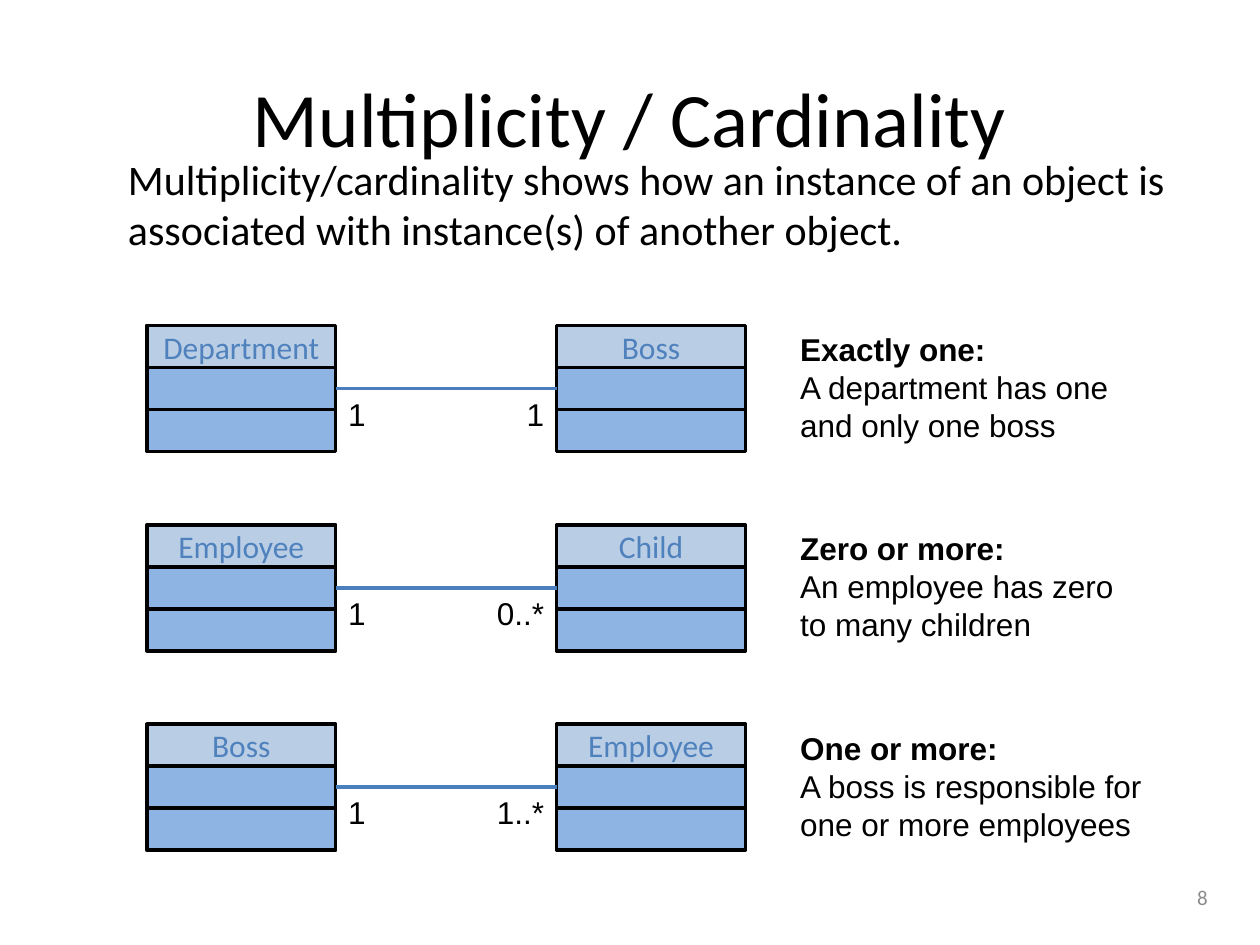
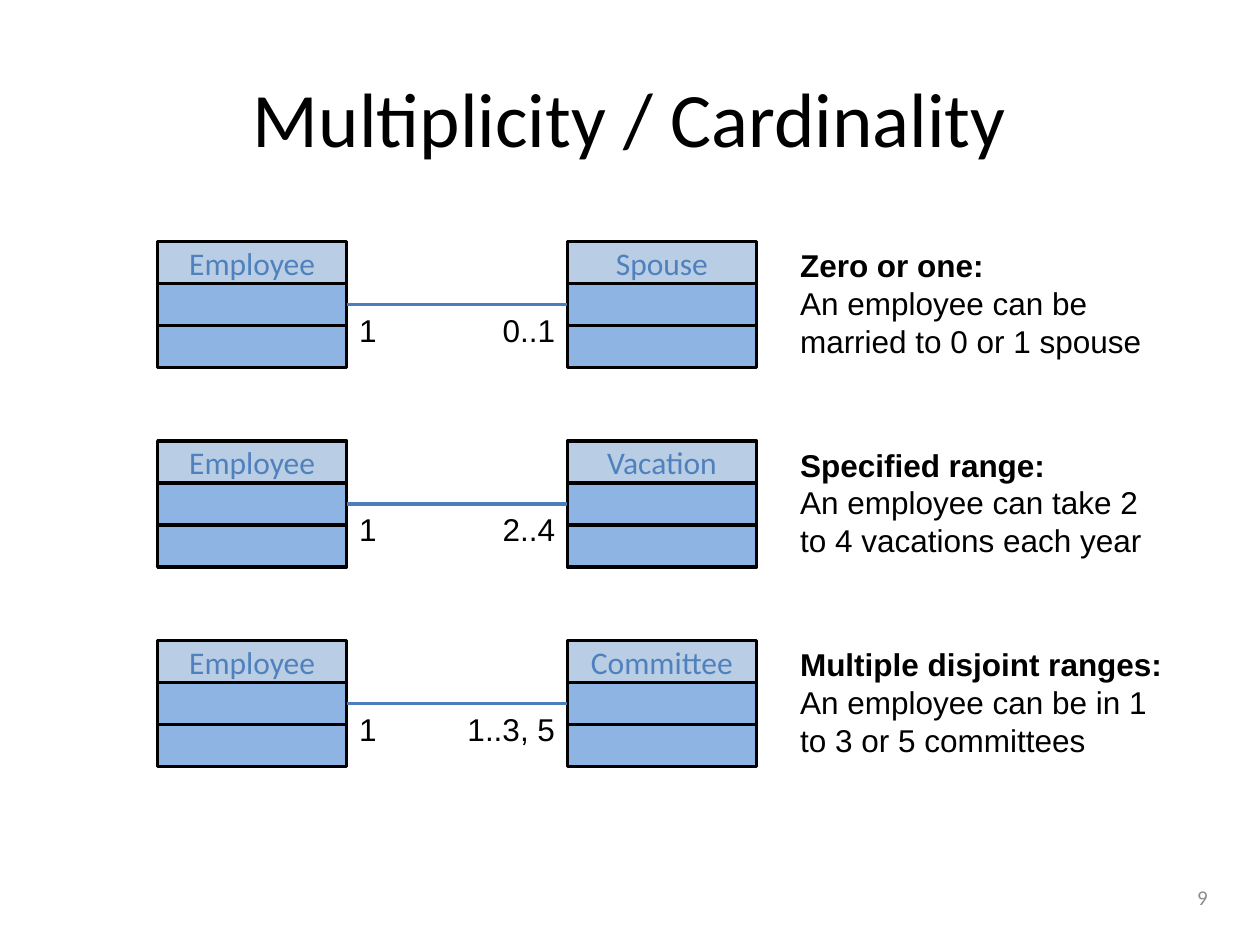
from dataclasses import dataclass

from lxml import etree
from pptx import Presentation
from pptx.dml.color import RGBColor
from pptx.enum.shapes import MSO_CONNECTOR, MSO_SHAPE
from pptx.enum.text import MSO_ANCHOR, MSO_AUTO_SIZE, PP_ALIGN
from pptx.oxml.ns import qn
from pptx.util import Cm, Pt

RECT = MSO_SHAPE.RECTANGLE
STRAIGHT = MSO_CONNECTOR.STRAIGHT
LEFT, CENTER, RIGHT = PP_ALIGN.LEFT, PP_ALIGN.CENTER, PP_ALIGN.RIGHT
TOP, MIDDLE = MSO_ANCHOR.TOP, MSO_ANCHOR.MIDDLE
NO_FIT, GROW = MSO_AUTO_SIZE.NONE, MSO_AUTO_SIZE.SHAPE_TO_FIT_TEXT
SIDE_LEFT, SIDE_RIGHT = 1, 3


@dataclass(frozen=True)
class Theme:
    """Fonts, type sizes, colours and line width shared by the slides."""
    heading_font: str = "Calibri"
    body_font: str = "Arial"
    title: int = 44
    intro: int = 24
    body: int = 18
    number: int = 12
    line: int = 2
    ink: str = "000000"
    muted: str = "8C8C8C"
    class_name: str = "4F81BD"
    header_fill: str = "B9CDE5"
    row_fill: str = "8EB4E3"
    link: str = "4B7EBC"


@dataclass(frozen=True)
class Box:
    """A rectangle measured in centimetres."""
    x: float
    y: float
    w: float
    h: float

    def emu(self):
        """Return left, top, width and height as lengths."""
        return Cm(self.x), Cm(self.y), Cm(self.w), Cm(self.h)


@dataclass(frozen=True)
class Association:
    """Two classes, the multiplicity at each end and its explanation."""
    source: str
    target: str
    target_mult: str
    rule: str
    example: str
    source_mult: str = "1"
    note_w: float = 7.41


THEME = Theme()
CLASS_W, CLASS_H = 3.81, 2.54
CLASS_STEP, ROW_STEP = 8.26, 4.02
NOTE_X, NOTE_H = 15.88, 2.57
LABEL_H, LABEL_PADDING = 1.02, 0.51
DIGIT_W, GLYPH_W = 0.35, {".": 0.18, ",": 0.18, " ": 0.18, "*": 0.25}
TITLE_BOX = Box(1.27, 0.76, 22.86, 3.18)
INTRO_BOX = Box(2.33, 2.97, 21.8, 2.31)
NUMBER_BOX = Box(23.5, 17.58, 1.48, 1.02)

SLIDES = [
    dict(
        number=8, left=2.96, top=6.56,
        intro="Multiplicity/cardinality shows how an instance of an object is "
              "associated with instance(s) of another object.",
        associations=[
            Association("Department", "Boss", "1", "Exactly one:",
                        "A department has one and only one boss"),
            Association("Employee", "Child", "0..*", "Zero or more:",
                        "An employee has zero to many children"),
            Association("Boss", "Employee", "1..*", "One or more:",
                        "A boss is responsible for one or more employees"),
        ],
    ),
    dict(
        number=9, left=3.18, top=4.87,
        associations=[
            Association("Employee", "Spouse", "0..1", "Zero or one:",
                        "An employee can be married to 0 or 1 spouse"),
            Association("Employee", "Vacation", "2..4", "Specified range:",
                        "An employee can take 2 to 4 vacations each year"),
            Association("Employee", "Committee", "1..3, 5",
                        "Multiple disjoint ranges:",
                        "An employee can be in 1 to 3 or 5 committees",
                        note_w=7.82),
        ],
    ),
]


def rgb(color):
    """Turn a hex string into a colour."""
    return RGBColor.from_string(color)


def add_run(p, text, size, font, color=THEME.ink, bold=False):
    """Append one formatted run to a paragraph."""
    r = p.add_run()
    r.text = text
    r.font.size, r.font.name, r.font.bold = Pt(size), font, bold
    r.font.color.rgb = rgb(color)


def add_text(s, box, lines, size, font, color=THEME.ink, align=LEFT,
             anchor=TOP, fit=GROW, wrap=True):
    """Add a text box with one paragraph for each (text, bold) line."""
    tf = s.shapes.add_textbox(*box.emu()).text_frame
    tf.word_wrap, tf.auto_size, tf.vertical_anchor = wrap, fit, anchor
    for i, (text, bold) in enumerate(lines):
        p = tf.add_paragraph() if i else tf.paragraphs[0]
        p.alignment = align
        add_run(p, text, size, font, color, bold)


def add_class(s, box, name):
    """Draw a three-part class box and return its middle part."""
    group = s.shapes.add_group_shape()
    row_h = box.h / 3
    fills = (THEME.header_fill, THEME.row_fill, THEME.row_fill)
    parts = []
    for i, fill in enumerate(fills):
        row = Box(box.x, box.y + i * row_h, box.w, row_h)
        sp = group.shapes.add_shape(RECT, *row.emu())
        sp.shadow.inherit = False
        sp.fill.solid()
        sp.fill.fore_color.rgb = rgb(fill)
        sp.line.color.rgb = rgb(THEME.ink)
        sp.line.width = Pt(THEME.line)
        parts.append(sp)
    header, middle, _ = parts
    header.text_frame.vertical_anchor = MIDDLE
    p = header.text_frame.paragraphs[0]
    p.alignment = CENTER
    add_run(p, name, THEME.body, THEME.heading_font, THEME.class_name)
    return middle


def add_link(s, source, target):
    """Join the facing sides of two class boxes."""
    line = s.shapes.add_connector(STRAIGHT, 0, 0, 0, 0)
    line.begin_connect(source, SIDE_RIGHT)
    line.end_connect(target, SIDE_LEFT)
    line.line.color.rgb = rgb(THEME.link)
    line.line.width = Pt(THEME.line)
    etree.SubElement(line._element.spPr, qn("a:effectLst"))


def add_multiplicity(s, x, y, text, align):
    """Place a multiplicity beside x, growing away from its class box."""
    w = LABEL_PADDING + sum(GLYPH_W.get(c, DIGIT_W) for c in text)
    left = x - w if align == RIGHT else x
    add_text(s, Box(left, y, w, LABEL_H), [(text, False)], THEME.body,
             THEME.body_font, align=align, wrap=False)


def add_association(s, x, y, a):
    """Draw one row: two linked classes, multiplicities and a note."""
    target_x = x + CLASS_STEP
    source = add_class(s, Box(x, y, CLASS_W, CLASS_H), a.source)
    target = add_class(s, Box(target_x, y, CLASS_W, CLASS_H), a.target)
    add_link(s, source, target)
    link_y = y + CLASS_H / 2
    add_multiplicity(s, x + CLASS_W, link_y, a.source_mult, LEFT)
    add_multiplicity(s, target_x, link_y, a.target_mult, RIGHT)
    note = Box(NOTE_X, y + CLASS_H - NOTE_H, a.note_w, NOTE_H)
    add_text(s, note, [(a.rule, True), (a.example, False)], THEME.body,
             THEME.body_font)


def add_slide(prs, number, left, top, associations, intro=None):
    """Add a multiplicity slide with evenly spaced association rows."""
    s = prs.slides.add_slide(prs.slide_layouts[6])
    add_text(s, TITLE_BOX, [("Multiplicity / Cardinality", False)], THEME.title,
             THEME.heading_font, align=CENTER, anchor=MIDDLE, fit=NO_FIT)
    for i, association in enumerate(associations):
        add_association(s, left, top + i * ROW_STEP, association)
    if intro:
        add_text(s, INTRO_BOX, [(intro, False)], THEME.intro, THEME.heading_font)
    add_text(s, NUMBER_BOX, [(str(number), False)], THEME.number,
             THEME.heading_font, THEME.muted, CENTER, MIDDLE, NO_FIT)


def main():
    """Build and save the presentation."""
    prs = Presentation()
    prs.slide_width, prs.slide_height = Cm(25.4), Cm(19.05)
    for content in SLIDES:
        add_slide(prs, **content)
    prs.save("out.pptx")


if __name__ == "__main__":
    main()
